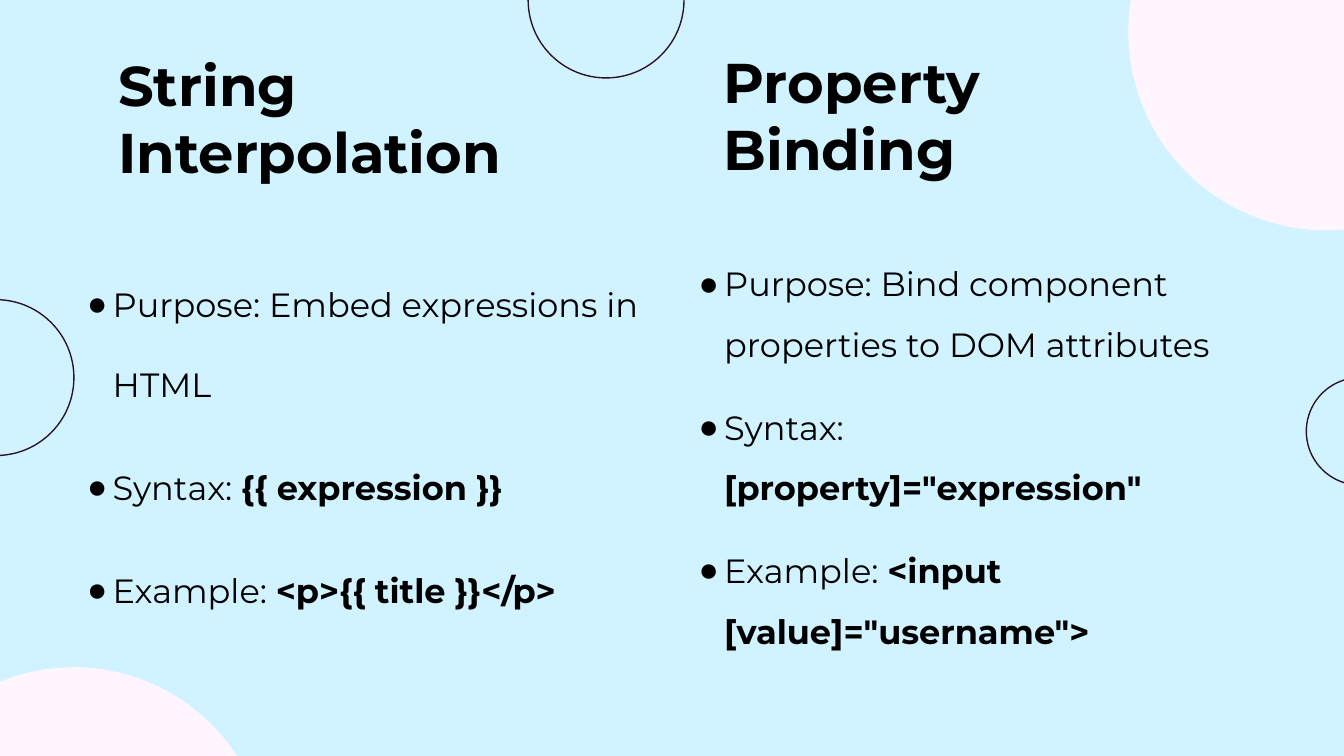
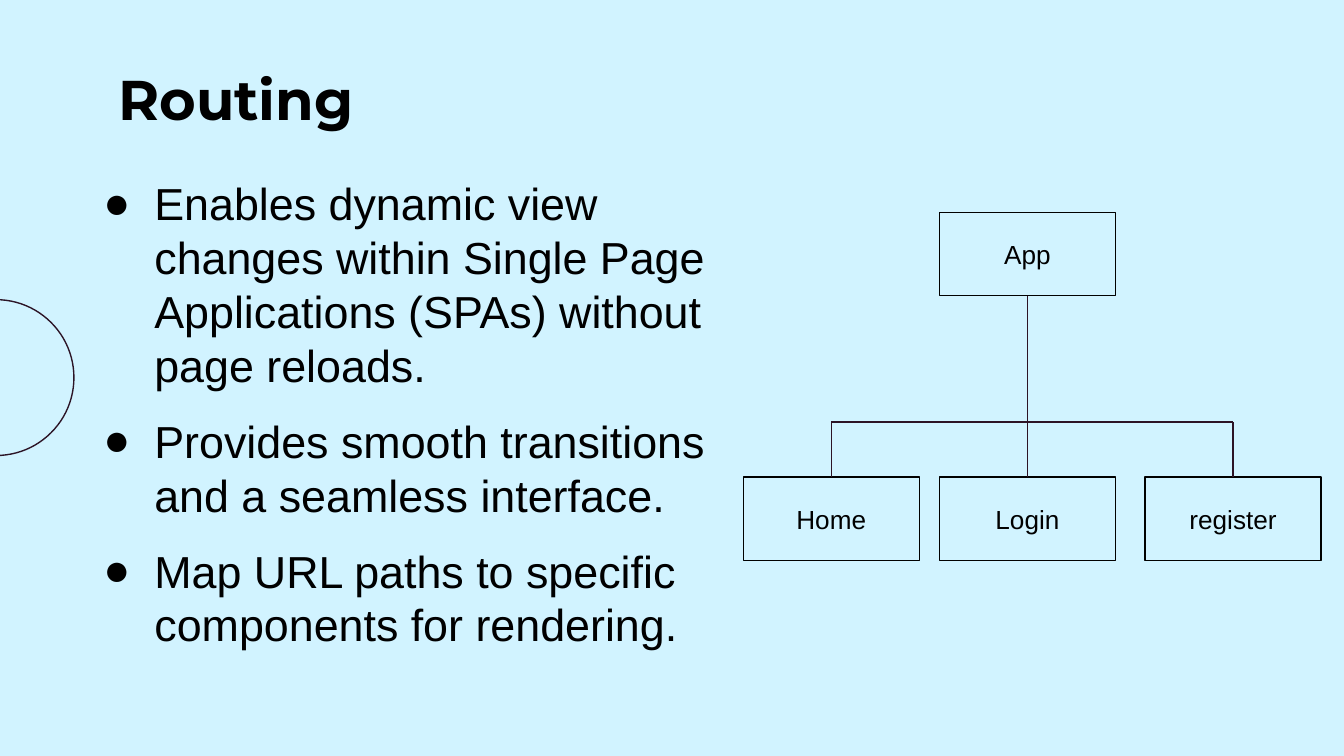
from dataclasses import dataclass
from typing import Optional

from lxml import etree
from pptx import Presentation
from pptx import util as u
from pptx.dml.color import RGBColor
from pptx.enum import shapes, text
from pptx.oxml import ns

PX = 4572  # 200 px to the inch
COLORS = {
    "sky": "D1F3FF",
    "blush": "FFF5FE",
    "ring": "2C1426",
    "branch": "2C1325",
    "ink": "000000",
}
HEADING_FONT = "Montserrat"
PLAIN_FONT = "Arial"
HAIRLINE = u.Pt(0.75)
INSET = 20


@dataclass(frozen=True)
class Area:
    left: int
    top: int
    width: int
    height: int

    def emu(self) -> tuple:
        return tuple(px(n) for n in (self.left, self.top, self.width, self.height))

    @property
    def center(self) -> int:
        return self.left + self.width // 2


@dataclass(frozen=True)
class Circle:
    left: int
    top: int
    size: int
    fill: Optional[str] = None


@dataclass(frozen=True)
class Span:
    words: str
    bold: bool = False


@dataclass(frozen=True)
class BulletStyle:
    font: str
    size: int
    indent: int
    spacing: float


EDGE_RING = Circle(-122, 446, 232)
BINDING_CIRCLES = (
    Circle(-178, 994, 576, "blush"),
    Circle(1680, -248, 590, "blush"),
    Circle(1944, 562, 160),
    Circle(786, -116, 232),
)
INTERPOLATION_STYLE = BulletStyle(HEADING_FONT, 18, 38, 2.0)
PROPERTY_STYLE = BulletStyle(HEADING_FONT, 18, 38, 1.5)
ROUTING_STYLE = BulletStyle(PLAIN_FONT, 24, 76, 1.0)

INTERPOLATION = (
    (Span("Purpose: Embed expressions in HTML"),),
    (Span("Syntax: "), Span("{{ expression }}", True)),
    (Span("Example: "), Span("<p>{{ title }}</p>", True)),
)
PROPERTY = (
    (Span("Purpose: Bind component properties to DOM attributes"),),
    (Span("Syntax: "), Span('[property]="expression"', True)),
    (Span("Example: "), Span('<input [value]="username">', True)),
)
ROUTING = (
    (Span("Enables dynamic view changes within Single Page Applications (SPAs) "
          "without page reloads."),),
    (Span("Provides smooth transitions and a seamless interface."),),
    (Span("Map URL paths to specific components for rendering."),),
)

NODE_WIDTH, NODE_HEIGHT = 262, 124
APP_TOP, BUS_TOP, ROUTE_TOP = 316, 628, 710
ROUTE_LEFTS = {"Home": 1106, "Login": 1398, "register": 1704}


def px(length: int) -> u.Emu:
    return u.Emu(length * PX)


def color(name: str) -> RGBColor:
    return RGBColor.from_string(COLORS[name])


def add_span(para, span: Span, font: str, size: int) -> None:
    run = para.add_run()
    run.text = span.words
    run.font.name = font
    run.font.size = u.Pt(size)
    run.font.bold = span.bold
    run.font.color.rgb = color("ink")


def set_frame(box, anchor) -> None:
    """Apply the wrapping, insets and anchor that all text areas share."""
    frame = box.text_frame
    frame.word_wrap = True
    frame.auto_size = text.MSO_AUTO_SIZE.NONE
    frame.vertical_anchor = anchor
    frame.margin_left = frame.margin_right = px(INSET)
    frame.margin_top = frame.margin_bottom = px(INSET)


def add_circle(page, circle: Circle) -> None:
    area = Area(circle.left, circle.top, circle.size, circle.size)
    shape = page.shapes.add_shape(shapes.MSO_SHAPE.OVAL, *area.emu())
    shape.shadow.inherit = False
    shape.line.width = HAIRLINE
    shape.line.color.rgb = color(circle.fill or "ring")
    if circle.fill:
        shape.fill.solid()
        shape.fill.fore_color.rgb = color(circle.fill)
    else:
        shape.fill.background()


def write_heading(box, words: str) -> None:
    set_frame(box, text.MSO_ANCHOR.BOTTOM)
    para = box.text_frame.paragraphs[0]
    para.alignment = text.PP_ALIGN.LEFT
    add_span(para, Span(words, True), HEADING_FONT, 30)


def add_page(deck, title: str, area: Area):
    """Add a page with the shared background, edge ring and title."""
    page = deck.slides.add_slide(deck.slide_layouts.get_by_name("Title Only"))
    page.background.fill.solid()
    page.background.fill.fore_color.rgb = color("sky")
    add_circle(page, EDGE_RING)
    box = page.shapes.title
    box.left, box.top, box.width, box.height = area.emu()
    write_heading(box, title)
    return page


def set_bullet(para, indent: int) -> None:
    props = para._p.get_or_add_pPr()
    props.set("marL", str(px(indent)))
    props.set("indent", str(px(-indent)))
    tint = etree.SubElement(props, ns.qn("a:buClr"))
    etree.SubElement(tint, ns.qn("a:srgbClr"), val=COLORS["ink"])
    etree.SubElement(props, ns.qn("a:buFont"), typeface=PLAIN_FONT)
    etree.SubElement(props, ns.qn("a:buChar"), char="●")


def add_bullets(page, area: Area, items: tuple, style: BulletStyle) -> None:
    box = page.shapes.add_textbox(*area.emu())
    set_frame(box, text.MSO_ANCHOR.TOP)
    frame = box.text_frame
    for index, spans in enumerate(items):
        para = frame.add_paragraph() if index else frame.paragraphs[0]
        para.line_spacing = style.spacing
        para.space_after = u.Pt(12)
        set_bullet(para, style.indent)
        for span in spans:
            add_span(para, span, style.font, style.size)


def add_node(page, label: str, area: Area):
    node = page.shapes.add_shape(shapes.MSO_SHAPE.RECTANGLE, *area.emu())
    node.shadow.inherit = False
    node.fill.background()
    node.line.color.rgb = color("ink")
    node.line.width = HAIRLINE
    set_frame(node, text.MSO_ANCHOR.MIDDLE)
    para = node.text_frame.paragraphs[0]
    para.alignment = text.PP_ALIGN.CENTER
    add_span(para, Span(label), PLAIN_FONT, 14)
    return node


def add_branch(page, start: tuple[int, int], end: tuple[int, int]):
    ends = [px(n) for n in (*start, *end)]
    branch = page.shapes.add_connector(shapes.MSO_CONNECTOR.STRAIGHT, *ends)
    branch.line.color.rgb = color("branch")
    branch.line.width = HAIRLINE
    etree.SubElement(branch._element.spPr, ns.qn("a:effectLst"))
    return branch


def add_route_tree(page) -> None:
    app_area = Area(ROUTE_LEFTS["Login"], APP_TOP, NODE_WIDTH, NODE_HEIGHT)
    app = add_node(page, "App", app_area)
    centers = []
    for label, left in ROUTE_LEFTS.items():
        area = Area(left, ROUTE_TOP, NODE_WIDTH, NODE_HEIGHT)
        route = add_node(page, label, area)
        centers.append(area.center)
        under_app = area.center == app_area.center
        end_top = APP_TOP + NODE_HEIGHT if under_app else BUS_TOP
        branch = add_branch(page, (area.center, ROUTE_TOP), (area.center, end_top))
        branch.begin_connect(route, 0)
        if under_app:
            branch.end_connect(app, 2)
    add_branch(page, (centers[0], BUS_TOP), (centers[-1], BUS_TOP))


def build_binding_page(deck) -> None:
    page = add_page(deck, "String Interpolation", Area(156, 77, 736, 218))
    for circle in BINDING_CIRCLES:
        add_circle(page, circle)
    add_bullets(page, Area(110, 342, 870, 652), INTERPOLATION, INTERPOLATION_STYLE)
    add_bullets(page, Area(1020, 342, 870, 652), PROPERTY, PROPERTY_STYLE)
    heading = page.shapes.add_textbox(*Area(1057, 74, 752, 216).emu())
    write_heading(heading, "Property Binding")


def build_routing_page(deck) -> None:
    page = add_page(deck, "Routing", Area(156, 40, 920, 176))
    add_bullets(page, Area(134, 242, 964, 810), ROUTING, ROUTING_STYLE)
    add_route_tree(page)


def main() -> None:
    deck = Presentation()
    deck.slide_width, deck.slide_height = px(2000), px(1125)
    build_binding_page(deck)
    build_routing_page(deck)
    deck.save("out.pptx")


if __name__ == "__main__":
    main()
